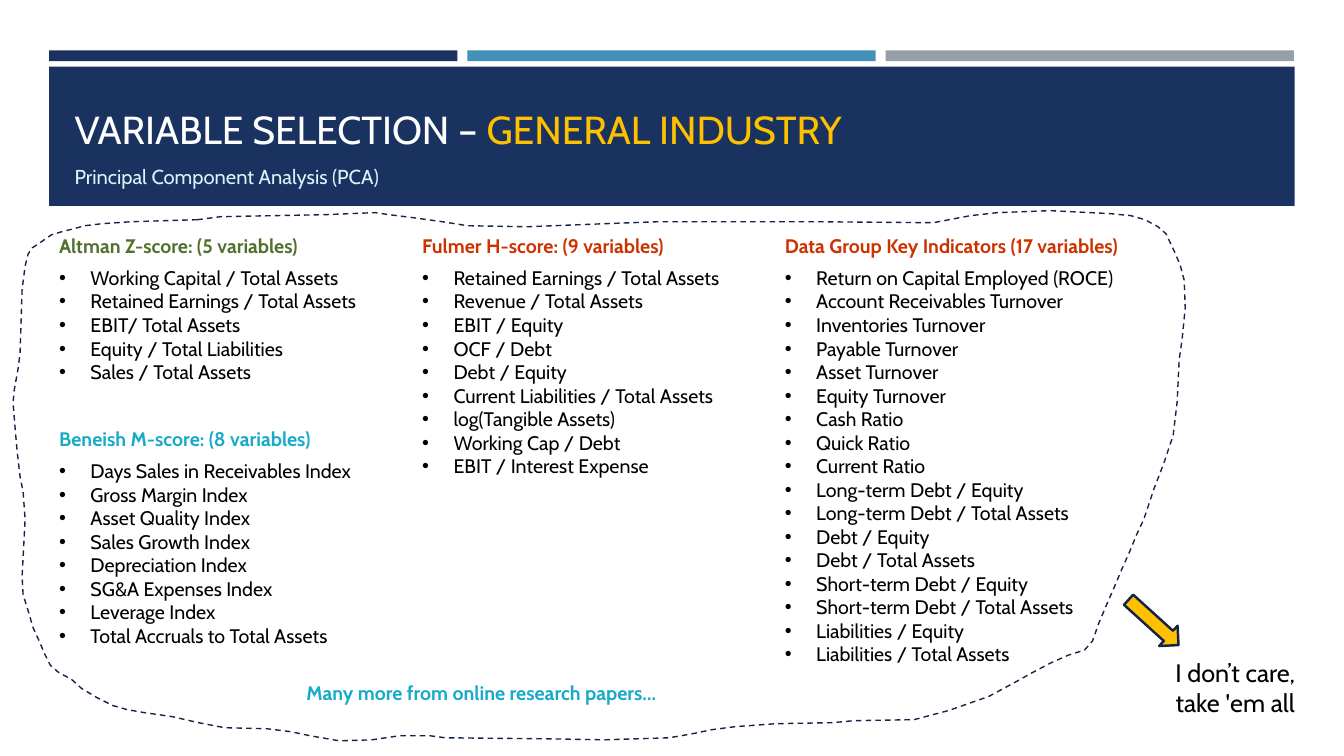
from pptx import Presentation
from pptx.dml.color import RGBColor
from pptx.enum.dml import MSO_LINE
from pptx.enum.shapes import MSO_SHAPE as Kind
from pptx.enum.text import MSO_ANCHOR as Anchor, PP_ALIGN as Align
from pptx.oxml.ns import qn
from pptx.util import Cm, Pt
from lxml.etree import SubElement

NAVY, BLUE, GREY = "1A3260", "4590B8", "969FA7"
EDGE, GOLD, TEAL, RED = "132547", "FFC000", "19AAC9", "CC3300"

# Heading, colour, left, top, width, height (cm), items
LISTS = [
    ("Altman Z-score: (5 variables)", "52712E", 1.24, 5.77, 9.9, 4.06, [
        "Working Capital / Total Assets", "Retained Earnings / Total Assets",
        "EBIT/ Total Assets", "Equity / Total Liabilities",
        "Sales / Total Assets"]),
    ("Beneish M-score: (8 variables)", TEAL, 1.24, 10.64, 9.9, 5.87, [
        "Days Sales in Receivables Index", "Gross Margin Index",
        "Asset Quality Index", "Sales Growth Index", "Depreciation Index",
        "SG&A Expenses Index", "Leverage Index",
        "Total Accruals to Total Assets"]),
    ("Fulmer H-score: (9 variables)", RED, 10.39, 5.77, 9.14, 6.45, [
        "Retained Earnings / Total Assets", "Revenue / Total Assets",
        "EBIT / Equity", "OCF / Debt", "Debt / Equity",
        "Current Liabilities / Total Assets", "log(Tangible Assets)",
        "Working Cap / Debt", "EBIT / Interest Expense"]),
    ("Data Group Key Indicators (17 variables)", RED, 19.53, 5.77, 10.2, 11.84, [
        "Return on Capital Employed (ROCE)", "Account Receivables Turnover",
        "Inventories Turnover", "Payable Turnover", "Asset Turnover",
        "Equity Turnover", "Cash Ratio", "Quick Ratio", "Current Ratio",
        "Long-term Debt / Equity", "Long-term Debt / Total Assets",
        "Debt / Equity", "Debt / Total Assets", "Short-term Debt / Equity",
        "Short-term Debt / Total Assets", "Liabilities / Equity",
        "Liabilities / Total Assets"]),
]

# Hand-drawn loop, in hundredths of an inch
LOOP = [
    (196, 218), (130, 220), (101, 222), (84, 224), (73, 227), (61, 230),
    (51, 233), (41, 240), (32, 246), (28, 252), (25, 264), (22, 287),
    (20, 350), (18, 366), (14, 388), (13, 400), (15, 424), (17, 447),
    (20, 473), (23, 488), (25, 515), (23, 553), (22, 572), (23, 590),
    (28, 606), (33, 623), (39, 636), (44, 648), (50, 660), (58, 667),
    (71, 674), (81, 683), (96, 692), (112, 700), (126, 704), (143, 707),
    (171, 711), (197, 717), (223, 722), (265, 723), (289, 726), (308, 730),
    (337, 735), (369, 734), (396, 730), (427, 730), (442, 732), (544, 733),
    (600, 734), (664, 732), (687, 728), (706, 724), (729, 721), (770, 718),
    (826, 717), (847, 715), (907, 714), (941, 705), (981, 691), (1007, 677),
    (1025, 667), (1042, 658), (1060, 650), (1076, 645), (1084, 636),
    (1090, 619), (1098, 600), (1105, 584), (1113, 565), (1121, 547),
    (1128, 530), (1135, 515), (1145, 485), (1155, 459), (1164, 432),
    (1168, 399), (1170, 357), (1173, 336), (1176, 305), (1175, 278),
    (1171, 263), (1165, 249), (1157, 232), (1149, 225), (1136, 218),
    (1122, 214), (1102, 212), (1062, 210), (1042, 209), (990, 211),
    (963, 214), (926, 221), (807, 220), (653, 220), (599, 222), (523, 225),
    (464, 224), (439, 220), (410, 216), (386, 213), (372, 211), (323, 213),
    (219, 215),
]


def rgb(code):
    return RGBColor.from_string(code)


def write(para, text, size=14, color="000000", bold=False):
    run = para.add_run()
    run.text = text
    font = run.font
    font.name, font.size, font.bold = "Cabin", Pt(size), bold
    font.color.rgb = rgb(color)


def bullet(para):
    props = para._p.get_or_add_pPr()
    props.set("marL", str(Cm(0.79)))
    props.set("indent", str(-Cm(0.79)))
    SubElement(props, qn("a:buFont"), typeface="Arial")
    SubElement(props, qn("a:buChar"), char="•")


class Deck:
    def __init__(self):
        self.prs = Presentation()
        self.prs.slide_width, self.prs.slide_height = Cm(33.87), Cm(19.05)
        self.shapes = self.prs.slides.add_slide(self.prs.slide_layouts[6]).shapes

    def dress(self, shape, fill=None, line=None, width=1):
        """Set fill and outline, and drop the shadow."""
        shape.shadow.inherit = False
        if fill:
            shape.fill.solid()
            shape.fill.fore_color.rgb = rgb(fill)
        else:
            shape.fill.background()
        if line:
            shape.line.color.rgb = rgb(line)
            shape.line.width = Pt(width)
        else:
            shape.line.fill.background()
        return shape

    def block(self, box, fill, kind=Kind.RECTANGLE, **style):
        shape = self.shapes.add_shape(kind, *map(Cm, box))
        return self.dress(shape, fill, **style)

    def loop(self, points):
        pen = self.shapes.build_freeform(*points[0], scale=Cm(0.0254))
        pen.add_line_segments(points[1:], close=True)
        shape = self.dress(pen.convert_to_shape(), line=EDGE)
        shape.line.dash_style = MSO_LINE.DASH

    def text(self, box, anchor=Anchor.TOP):
        frame = self.shapes.add_textbox(*map(Cm, box)).text_frame
        frame.word_wrap = True
        frame.vertical_anchor = anchor
        return frame

    def listing(self, head, color, box, items=()):
        frame = self.text(box)
        top = frame.paragraphs[0]
        top.space_after = Pt(6)
        write(top, head, color=color, bold=True)
        for item in items:
            para = frame.add_paragraph()
            bullet(para)
            write(para, item)

    def title(self, box):
        para = self.text(box, Anchor.BOTTOM).paragraphs[0]
        para.line_spacing, para.space_after = 1.5, Pt(12)
        write(para, "VARIABLE SELECTION – ", size=27.9, color="FFFFFF")
        write(para, "GENERAL INDUSTRY", size=27.9, color=GOLD)
        para.add_line_break()
        write(para, "Principal Component Analysis (PCA)", size=14.4, color="DAF5FA")


def main():
    deck = Deck()
    for i, color in enumerate((NAVY, BLUE, GREY)):
        deck.block((1.24 + i * 10.54, 1.27, 10.29, 0.27), color)
    deck.block((1.24, 1.68, 31.39, 3.51), NAVY)
    for head, color, *box, items in LISTS:
        deck.listing(head, color, box, items)
    deck.listing("Many more from online research papers…", TEAL,
                 (7.47, 17.04, 10.64, 0.86))
    deck.loop(LOOP)
    arrow = deck.block((28.22, 15.34, 1.7, 0.69), GOLD, Kind.RIGHT_ARROW,
                       line=EDGE, width=1.75)
    arrow.rotation = 42.2
    aside = deck.text((28.88, 16.43, 4.5, 1.8)).paragraphs[0]
    aside.alignment = Align.CENTER
    write(aside, "I don’t care, take ׳em all", size=18)
    deck.title((1.63, 1.85, 30.63, 3.02))
    deck.prs.save("out.pptx")


if __name__ == "__main__":
    main()
